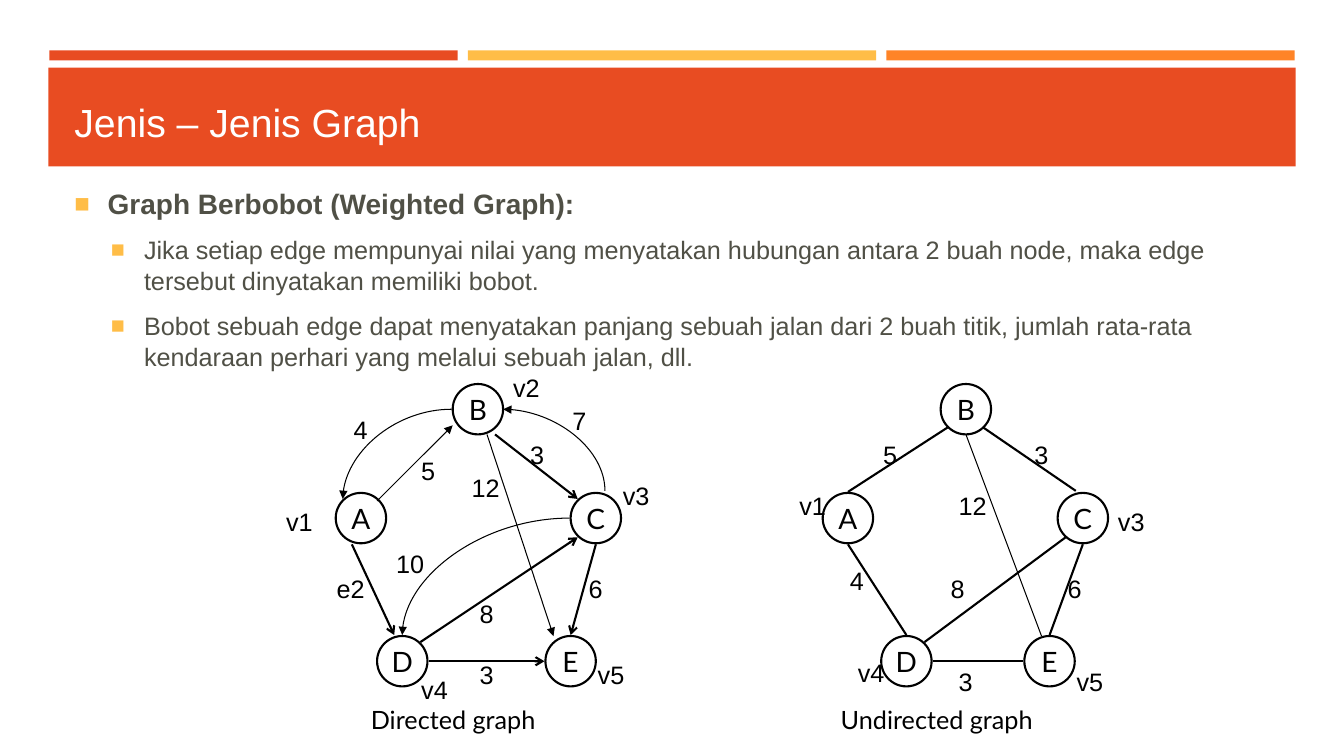
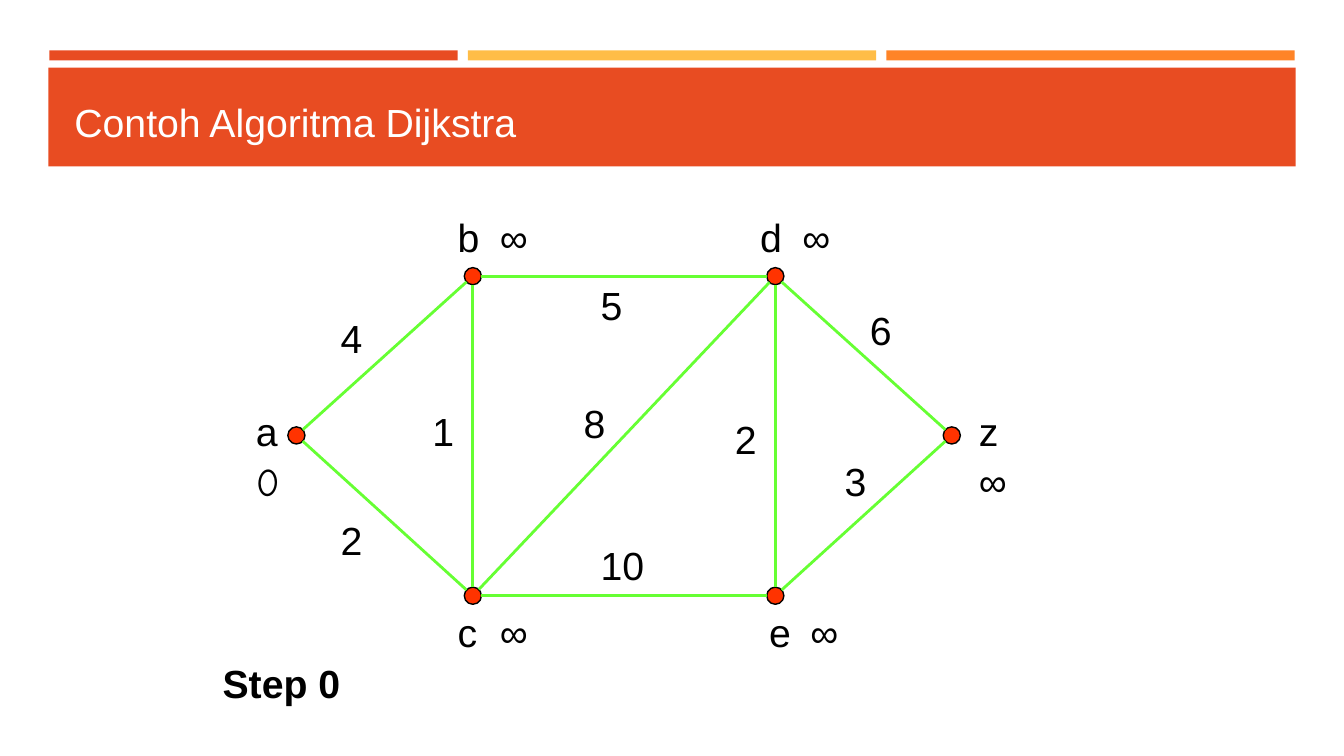
from math import hypot
from lxml import etree
from pptx import Presentation
from pptx.dml.color import RGBColor
from pptx.enum import shapes, text
from pptx.oxml.ns import qn
from pptx.util import Inches, Pt

COLORS = {"red": "E84C22", "yellow": "FFBD47", "orange": "FF8427", "white": "FFFFFF",
          "body": "505046", "black": "000000", "dot": "FF3300", "edge": "66FF33"}
COLORS = {name: RGBColor.from_string(value) for name, value in COLORS.items()}
LABEL = {"size": Pt(18), "name": "Arial"}
LARGE = {"size": Pt(28), "name": "Arial"}
NODE = {"size": Pt(20), "name": "Lato"}
CAPTION = {"size": Pt(18), "name": "Lato"}


def write(page, words, left, top, width, height, font, color="black", shape=None, anchor="TOP"):
    place = [Inches(value) for value in (left, top, width, height)]
    if shape is None:
        box = page.shapes.add_textbox(*place)
    else:
        box = page.shapes.add_shape(shape, *place)
        box.shadow.inherit = False
        box.fill.background()
        box.line.color.rgb = COLORS["black"]
        box.line.width = Pt(1.5)
    frame = box.text_frame
    frame.word_wrap = shape is None
    frame.vertical_anchor = text.MSO_ANCHOR[anchor]
    lines = [words] if isinstance(words, str) else words
    for index, line in enumerate(lines):
        para = frame.paragraphs[0] if index == 0 else frame.add_paragraph()
        para.alignment = text.PP_ALIGN.LEFT if shape is None else text.PP_ALIGN.CENTER
        span = para.add_run()
        span.text = line
        for name, value in font.items():
            setattr(span.font, name, value)
        span.font.color.rgb = COLORS[color]
    return box


def link(page, x1, y1, x2, y2, width, color="black", arrows=(), curved=False):
    kind = shapes.MSO_CONNECTOR.CURVE if curved else shapes.MSO_CONNECTOR.STRAIGHT
    line = page.shapes.add_connector(kind, *[Inches(value) for value in (x1, y1, x2, y2)])
    line.line.color.rgb = COLORS[color]
    line.line.width = Pt(width)
    properties = line._element.spPr
    if curved:
        properties.find(qn("a:prstGeom")).set("prst", "curvedConnector2")
    for end, arrow in arrows:
        etree.SubElement(properties.find(qn("a:ln")), qn(f"a:{end}"), type=arrow)
    etree.SubElement(properties, qn("a:effectLst"))


deck = Presentation()
deck.slide_width = Inches(13.33)
deck.slide_height = Inches(7.5)

pages = []
for title in ("Jenis – Jenis Graph", "Contoh Algoritma Dijkstra"):
    page = deck.slides.add_slide(deck.slide_layouts[6])
    bands = [(0.49 + 4.15 * index, 0.5, 4.05, 0.1, color)
             for index, color in enumerate(("red", "yellow", "orange"))]
    bands.append((0.48, 0.67, 12.37, 0.98, "red"))
    for *place, color in bands:
        band = page.shapes.add_shape(shapes.MSO_SHAPE.RECTANGLE, *[Inches(value) for value in place])
        band.shadow.inherit = False
        band.fill.solid()
        band.fill.fore_color.rgb = COLORS[color]
        band.line.fill.background()
    write(page, title, 0.64, 0.77, 12.06, 0.88, LARGE, "white", anchor="MIDDLE")
    pages.append(page)
weighted, dijkstra = pages

body = write(weighted, [
    "Graph Berbobot (Weighted Graph):",
    "Jika setiap edge mempunyai nilai yang menyatakan hubungan antara 2 buah node, "
    "maka edge tersebut dinyatakan memiliki bobot.",
    "Bobot sebuah edge dapat menyatakan panjang sebuah jalan dari 2 buah titik, "
    "jumlah rata-rata kendaraan perhari yang melalui sebuah jalan, dll.",
], 0.64, 1.79, 12.06, 1.66, LABEL, "body")
for index, para in enumerate(body.text_frame.paragraphs):
    para.level = min(index, 1)
    para.line_spacing = 1.03
    para.space_before = Pt(3.6)
    para.space_after = Pt(6)
    settings = para._p.get_or_add_pPr()
    settings.set("marL", str(Inches(0.69 if index else 0.33)))
    settings.set("indent", str(Inches(-0.33)))
    bullet_color = etree.SubElement(settings, qn("a:buClr"))
    etree.SubElement(bullet_color, qn("a:srgbClr"), val=str(COLORS["yellow"]))
    etree.SubElement(settings, qn("a:buSzPct"), val="92000")
    etree.SubElement(settings, qn("a:buFont"), typeface="Arial")
    etree.SubElement(settings, qn("a:buChar"), char="■")
heading = body.text_frame.paragraphs[0].runs[0].font
heading.bold = True
heading.size = Pt(20)

rows = {"B": 3.81, "A": 4.89, "C": 4.89, "D": 6.31, "E": 6.31}
directed_columns = {"B": 4.49, "A": 3.33, "C": 5.66, "D": 3.74, "E": 5.41}
undirected_columns = {"B": 9.33, "A": 8.16, "C": 10.49, "D": 8.74, "E": 10.16}
for columns in (directed_columns, undirected_columns):
    for name, left in columns.items():
        write(weighted, name, left, rows[name], 0.5, 0.5, NODE,
              shape=shapes.MSO_SHAPE.OVAL, anchor="MIDDLE")

open_arrow = [("tailEnd", "arrow")]
solid_arrow = [("tailEnd", "triangle")]
edge_groups = [
    (1.5, open_arrow, False, [(3.49, 5.4, 3.91, 6.3), (4.17, 6.37, 5.73, 5.33),
                              (4.25, 6.56, 5.4, 6.56), (5.91, 5.4, 5.66, 6.3),
                              (4.91, 4.31, 5.73, 4.95)]),
    (1.5, [], False, [(9.4, 4.24, 8.41, 4.88), (8.41, 5.4, 8.99, 6.3),
                      (9.17, 6.37, 10.57, 5.33), (9.25, 6.56, 10.15, 6.56),
                      (10.74, 5.4, 10.41, 6.3), (9.75, 4.24, 10.67, 4.87)]),
    (0.75, [], False, [(10.33, 6.31, 9.58, 4.31)]),
    (0.75, solid_arrow, False, [(3.74, 4.97, 4.49, 4.22), (4.83, 4.31, 5.49, 6.31)]),
    (0.75, solid_arrow, True, [(4.48, 4.06, 3.4, 4.95), (5.65, 5.14, 3.99, 6.3)]),
    (0.75, [("headEnd", "triangle")], True, [(4.99, 4.06, 6, 4.87)]),
]
for width, arrows, curved, edges in edge_groups:
    for ends in edges:
        link(weighted, *ends, width, arrows=arrows, curved=curved)

directed_labels = [
    ("v1", 2.74, 4.97), ("v2", 4.99, 3.64), ("v3", 6.08, 4.72), ("v5", 5.83, 6.49),
    ("v4", 4.08, 6.64), ("5", 4.08, 4.47), ("e2", 3.24, 5.64), ("3", 5.16, 4.31),
    ("12", 4.58, 4.64), ("8", 4.66, 5.89), ("3", 4.66, 6.49), ("6", 5.74, 5.64),
    ("4", 3.41, 4.06), ("7", 5.58, 3.97), ("10", 3.83, 5.39)]
undirected_labels = [
    ("5", 8.66, 4.31), ("3", 10.16, 4.31), ("12", 9.41, 4.82), ("6", 10.49, 5.64),
    ("8", 9.33, 5.64), ("4", 8.33, 5.56), ("3", 9.41, 6.56), ("v1", 7.83, 4.82),
    ("v4", 8.41, 6.47), ("v5", 10.58, 6.56), ("v3", 10.99, 4.97)]
for words, left, top in directed_labels + undirected_labels:
    write(weighted, words, left, top, 0.67 if words == "10" else 0.5, 0.4, LABEL)
for words, left, width in (("Directed graph", 3.58, 2.5), ("Undirected graph", 8.24, 2.75)):
    write(weighted, words, left, 6.94, width, 0.4, CAPTION)

radius = 0.085
centers = {"a": (2.94, 4.32), "b": (4.69, 2.74), "c": (4.69, 5.91),
           "z": (9.44, 4.32), "d": (7.69, 2.74), "e": (7.69, 5.91)}
for x, y in centers.values():
    dot = dijkstra.shapes.add_shape(shapes.MSO_SHAPE.FLOWCHART_CONNECTOR, Inches(x - radius),
                                    Inches(y - radius), Inches(2 * radius), Inches(2 * radius))
    dot.shadow.inherit = False
    dot.fill.solid()
    dot.fill.fore_color.rgb = COLORS["dot"]
    dot.line.color.rgb = COLORS["black"]
    dot.line.width = Pt(1)

for start, end in ("ab", "bd", "dz", "ze", "ec", "ca", "cb", "ed", "cd"):
    (x1, y1), (x2, y2) = centers[start], centers[end]
    share = radius / hypot(x2 - x1, y2 - y1)
    dx, dy = (x2 - x1) * share, (y2 - y1) * share
    link(dijkstra, x1 + dx, y1 + dy, x2 - dx, y2 - dy, 2, "edge")

dijkstra_labels = [
    ("a", 2.44, 3.99), ("b", 4.44, 2.07), ("d", 7.44, 2.07), ("z", 9.61, 3.99),
    ("e", 7.53, 5.99), ("c", 4.44, 5.99), ("4", 3.28, 3.07), ("2", 3.28, 5.07),
    ("1", 4.19, 3.99), ("5", 5.86, 2.74), ("8", 5.69, 3.91), ("10", 5.86, 5.32),
    ("2", 7.19, 4.07), ("6", 8.53, 2.99), ("3", 8.28, 4.49), ("∞", 4.86, 2.07),
    ("∞", 7.86, 2.07), ("∞", 4.86, 5.99), ("∞", 7.94, 5.99), ("∞", 9.61, 4.49)]
for words, left, top in dijkstra_labels:
    write(dijkstra, words, left, top, 0.67 if words == "10" else 0.5, 0.57, LARGE)
write(dijkstra, "0", 2.44, 4.49, 0.5, 0.57, {**LARGE, "name": "Comic Neue"})
write(dijkstra, "Step 0", 2.11, 6.49, 1.92, 0.58, {**LARGE, "bold": True})

deck.save("out.pptx")
